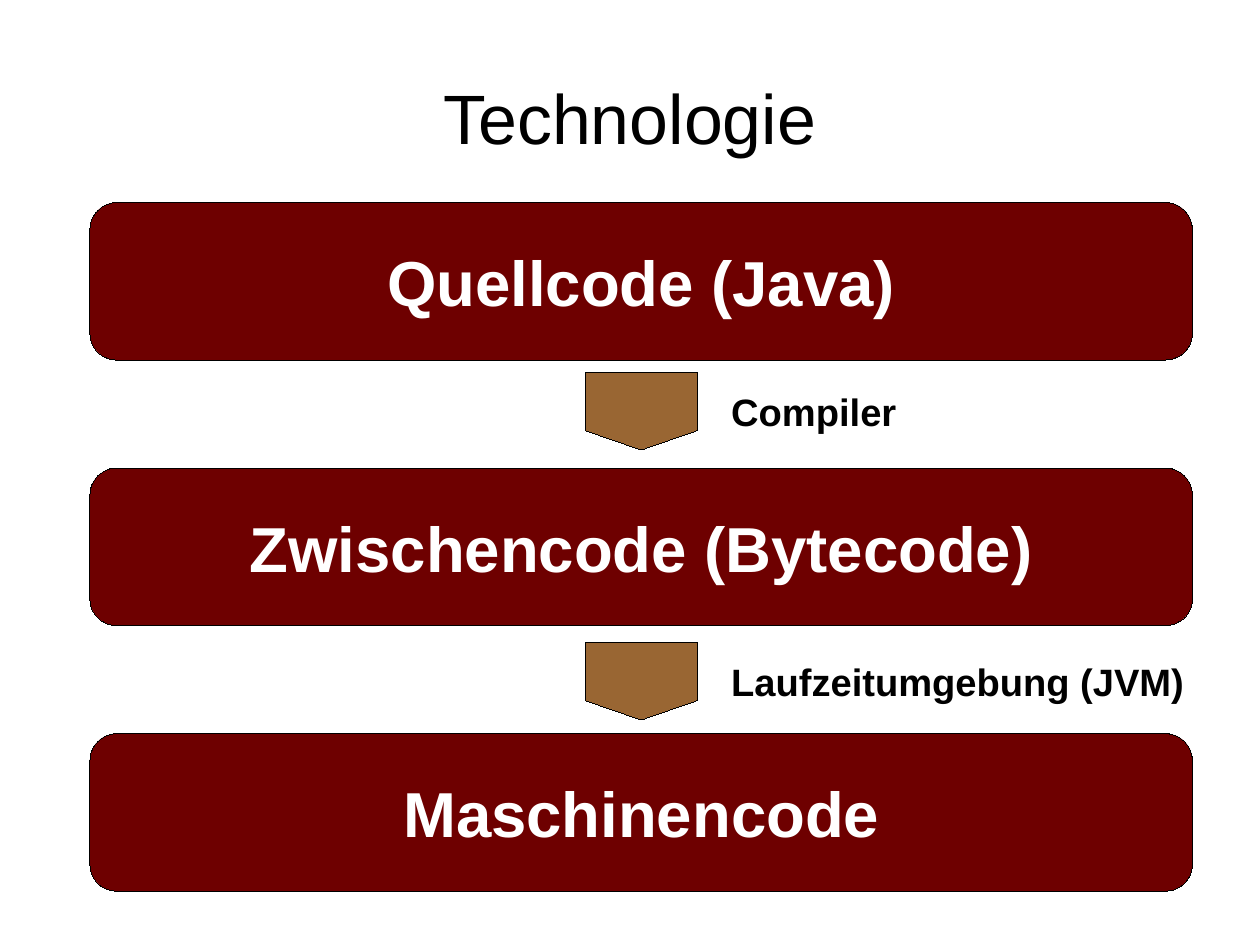
from pptx import Presentation
from pptx.dml.color import RGBColor
from pptx.enum.shapes import MSO_SHAPE
from pptx.enum.text import MSO_ANCHOR, PP_ALIGN
from pptx.util import Cm, Emu, Pt

BLACK = RGBColor(0x00, 0x00, 0x00)
WHITE = RGBColor(0xFF, 0xFF, 0xFF)
DARK_RED = RGBColor(0x6E, 0x00, 0x00)
BROWN = RGBColor(0x99, 0x66, 0x33)
HAIRLINE = Emu(1)

prs = Presentation()
prs.slide_width = Cm(28)
prs.slide_height = Cm(21)
s = prs.slides.add_slide(prs.slide_layouts[6])
COL = prs.slide_width / 100
ROW = prs.slide_height / 100


def add_item(text, x, y, w, h, preset=None, fill=None, size=24, color=BLACK,
             bold=True, align=PP_ALIGN.LEFT, anchor=MSO_ANCHOR.TOP):
    box = [round(v) for v in (x * COL, y * ROW, w * COL, h * ROW)]
    if preset is None:
        sp = s.shapes.add_textbox(*box)
    else:
        sp = s.shapes.add_shape(preset, *box)
        sp.shadow.inherit = False
        sp.fill.solid()
        sp.fill.fore_color.rgb = fill
        sp.line.color.rgb = BLACK
        sp.line.width = HAIRLINE
    if text:
        tf = sp.text_frame
        tf.word_wrap = True
        tf.vertical_anchor = anchor
        p = tf.paragraphs[0]
        p.alignment = align
        r = p.add_run()
        r.text = text
        r.font.name = "Arial"
        r.font.size = Pt(size)
        r.font.bold = bold
        r.font.color.rgb = color
    return sp


title = add_item("Technologie", 5, 4, 90, 16.67, size=44, bold=False,
                 align=PP_ALIGN.CENTER, anchor=MSO_ANCHOR.MIDDLE)
tf = title.text_frame
tf.margin_left = tf.margin_right = tf.margin_top = tf.margin_bottom = 0

stages = ["Quellcode (Java)", "Zwischencode (Bytecode)", "Maschinencode"]
for i, stage in enumerate(stages):
    sp = add_item(stage, 7.14, 21.43 + i * 28.1, 87.5, 16.67,
                  preset=MSO_SHAPE.ROUNDED_RECTANGLE, fill=DARK_RED, size=40,
                  color=WHITE, align=PP_ALIGN.CENTER, anchor=MSO_ANCHOR.MIDDLE)
    sp.adjustments[0] = 0.17

steps = [("Compiler", 30.36), ("Laufzeitumgebung (JVM)", 41.07)]
for i, (step, width) in enumerate(steps):
    offset = i * 28.57
    arrow = add_item("", 47.8, 37.55, 6.18, 11.9,
                     preset=MSO_SHAPE.PENTAGON, fill=BROWN)
    arrow.top += round(offset * ROW)
    arrow.rotation = 90
    arrow.adjustments[0] = 0.25
    add_item(step, 57.14, 40.48 + offset, width, 5.71)

prs.save("out.pptx")
